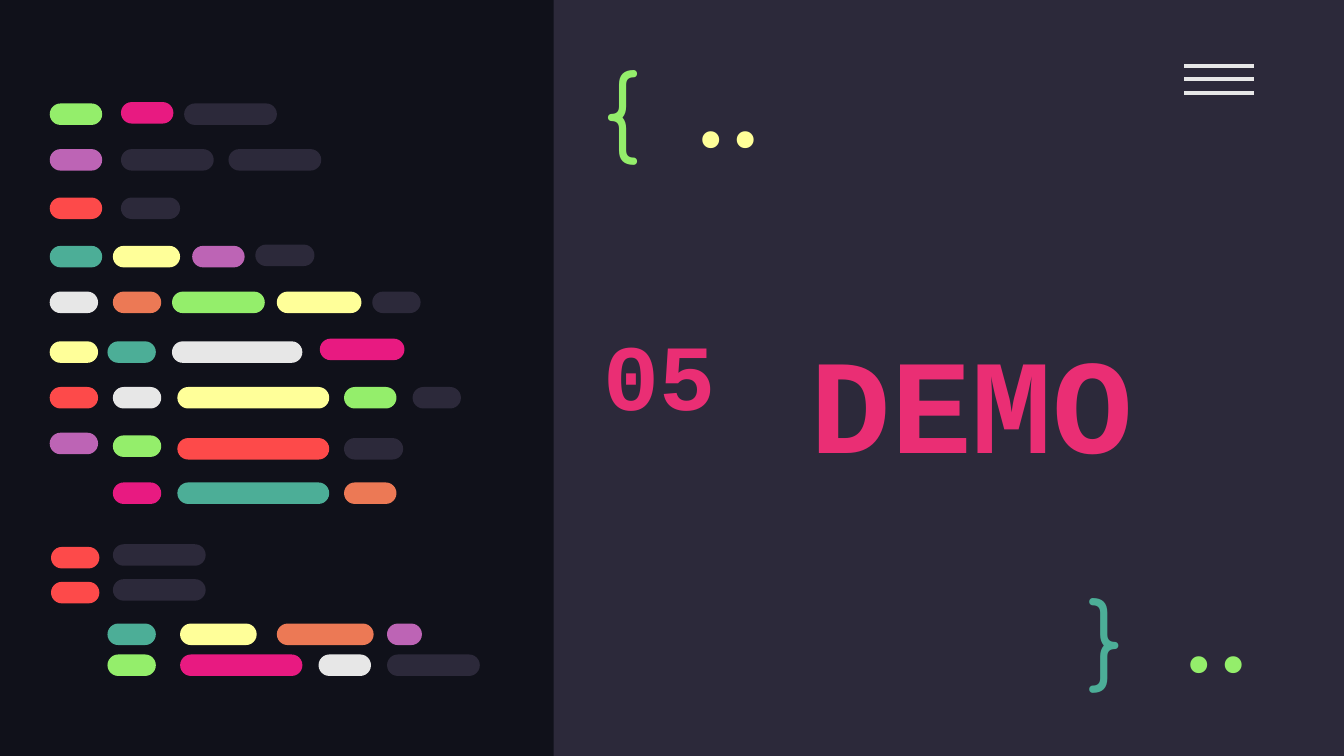
from lxml import etree
from pptx import Presentation
from pptx.dml.color import RGBColor
from pptx.enum.shapes import MSO_CONNECTOR, MSO_SHAPE
from pptx.enum.text import MSO_ANCHOR, MSO_AUTO_SIZE, PP_ALIGN
from pptx.oxml.ns import qn
from pptx.util import Inches, Pt

RECT = MSO_SHAPE.RECTANGLE
PILL = MSO_SHAPE.ROUNDED_RECTANGLE
LINE = MSO_CONNECTOR.STRAIGHT
TOP, MIDDLE = MSO_ANCHOR.TOP, MSO_ANCHOR.MIDDLE
LEFT, CENTER, RIGHT = PP_ALIGN.LEFT, PP_ALIGN.CENTER, PP_ALIGN.RIGHT
GROW = MSO_AUTO_SIZE.SHAPE_TO_FIT_TEXT

WIDE = 10
HIGH = WIDE * 9 / 16
NIGHT, SLATE, WHITE = "10111A", "2C293A", "E7E7E7"
GREEN, PINK, PURPLE, RED = "94EE6B", "E81A81", "BD64B5", "FD4A4A"
TEAL, YELLOW, ORANGE = "4CAE97", "FFFF99", "EC7955"
BLEND = [(0, "F05E8E"), (49, "EA2E74"), (50, "D6006B"),
         (92, "BB045F"), (100, "B8045E")]

PILL_HIGH = 0.16
CODE = [
    (0.77, [(0.37, 0.39, GREEN), (1.37, 0.69, SLATE)]),
    (0.76, [(0.9, 0.39, PINK)]),
    (1.11, [(0.37, 0.39, PURPLE), (0.9, 0.69, SLATE), (1.7, 0.69, SLATE)]),
    (1.47, [(0.37, 0.39, RED), (0.9, 0.44, SLATE)]),
    (1.83, [(0.37, 0.39, TEAL), (0.84, 0.5, YELLOW), (1.43, 0.39, PURPLE)]),
    (1.82, [(1.9, 0.44, SLATE)]),
    (2.17, [(0.37, 0.36, WHITE), (0.84, 0.36, ORANGE), (1.28, 0.69, GREEN),
            (2.06, 0.63, YELLOW), (2.77, 0.36, SLATE)]),
    (2.54, [(0.37, 0.36, YELLOW), (0.8, 0.36, TEAL), (1.28, 0.97, WHITE)]),
    (2.52, [(2.38, 0.63, PINK)]),
    (2.88, [(0.37, 0.36, RED), (0.84, 0.36, WHITE), (1.32, 1.13, YELLOW),
            (2.56, 0.39, GREEN), (3.07, 0.36, SLATE)]),
    (3.22, [(0.37, 0.36, PURPLE)]),
    (3.24, [(0.84, 0.36, GREEN)]),
    (3.26, [(1.32, 1.13, RED), (2.56, 0.44, SLATE)]),
    (3.59, [(0.84, 0.36, PINK), (1.32, 1.13, TEAL), (2.56, 0.39, ORANGE)]),
    (4.07, [(0.38, 0.36, RED)]),
    (4.05, [(0.84, 0.69, SLATE)]),
    (4.33, [(0.38, 0.36, RED)]),
    (4.31, [(0.84, 0.69, SLATE)]),
    (4.64, [(0.8, 0.36, TEAL), (1.34, 0.57, YELLOW), (2.06, 0.72, ORANGE),
            (2.88, 0.26, PURPLE)]),
    (4.87, [(0.8, 0.36, GREEN), (1.34, 0.91, PINK), (2.37, 0.39, WHITE),
            (2.88, 0.69, SLATE)]),
]


def color(code):
    return RGBColor.from_string(code)


def add_block(slide, kind, box, fill):
    block = slide.shapes.add_shape(kind, *map(Inches, box))
    block.shadow.inherit = False
    block.fill.solid()
    block.fill.fore_color.rgb = color(fill)
    block.line.fill.background()
    return block


def add_pill(slide, left, top, width, fill):
    pill = add_block(slide, PILL, (left, top, width, PILL_HIGH), fill)
    pill.adjustments[0] = 0.5


def add_rule(slide, left, right, top):
    rule = slide.shapes.add_connector(
        LINE, Inches(left), Inches(top), Inches(right), Inches(top))
    rule.line.color.rgb = color(WHITE)
    rule.line.width = Pt(2.25)
    etree.SubElement(rule._element.spPr, qn("a:effectLst"))


def blend_run(run):
    run.font.fill.gradient()
    run.font.fill.gradient_angle = 270
    stops = run._r.rPr.find(qn("a:gradFill")).find(qn("a:gsLst"))
    for stop in list(stops):
        stops.remove(stop)
    for place, code in BLEND:
        stop = etree.SubElement(stops, qn("a:gs"), pos=str(place * 1000))
        etree.SubElement(stop, qn("a:srgbClr"), val=code)


def add_text(slide, box, words, font, size, fill=None, align=LEFT,
             anchor=TOP, inset=0.1):
    area = slide.shapes.add_textbox(*map(Inches, box))
    frame = area.text_frame
    frame.word_wrap = True
    frame.vertical_anchor = anchor
    frame.margin_left = frame.margin_right = Inches(0.1)
    frame.margin_top = frame.margin_bottom = Inches(inset)
    line = frame.paragraphs[0]
    line.alignment = align
    run = line.add_run()
    run.text = words
    run.font.name = font
    run.font.size = Pt(size)
    if fill:
        run.font.color.rgb = color(fill)
    else:
        run.font.bold = True
        blend_run(run)
    return frame


def main():
    deck = Presentation()
    deck.slide_width, deck.slide_height = Inches(WIDE), Inches(HIGH)
    slide = deck.slides.add_slide(deck.slide_layouts[6])
    slide.background.fill.solid()
    slide.background.fill.fore_color.rgb = color(NIGHT)

    add_block(slide, RECT, (4.12, 0, WIDE - 4.12, HIGH), SLATE)
    for step in range(3):
        add_rule(slide, 8.81, 9.33, 0.49 + 0.1 * step)

    title = add_text(slide, (5, 1.7, 4.46, 2.77), "DEMO", "Courier New", 72,
                     align=CENTER, anchor=MIDDLE)
    title.paragraphs[0].line_spacing = 0.8

    for top, pills in CODE:
        for left, width, fill in pills:
            add_pill(slide, left, top, width, fill)

    add_text(slide, (4.39, 0.27, 0.77, 0.95), "{", "Comfortaa", 50, GREEN)
    add_text(slide, (8, 4.2, 0.57, 0.83), "}", "Comfortaa", 50, TEAL)
    for left, top, fill in [(8.51, 4.43, GREEN), (4.88, 0.52, YELLOW)]:
        add_text(slide, (left, top, 1.07, 0.6), "..", "Fira Code", 50, fill,
                 RIGHT, MIDDLE)

    number = add_text(slide, (4.39, 2.31, 1.04, 0.94), "05", "Courier New",
                      50, inset=0.05)
    number.word_wrap = False
    number.auto_size = GROW
    deck.save("out.pptx")


if __name__ == "__main__":
    main()
